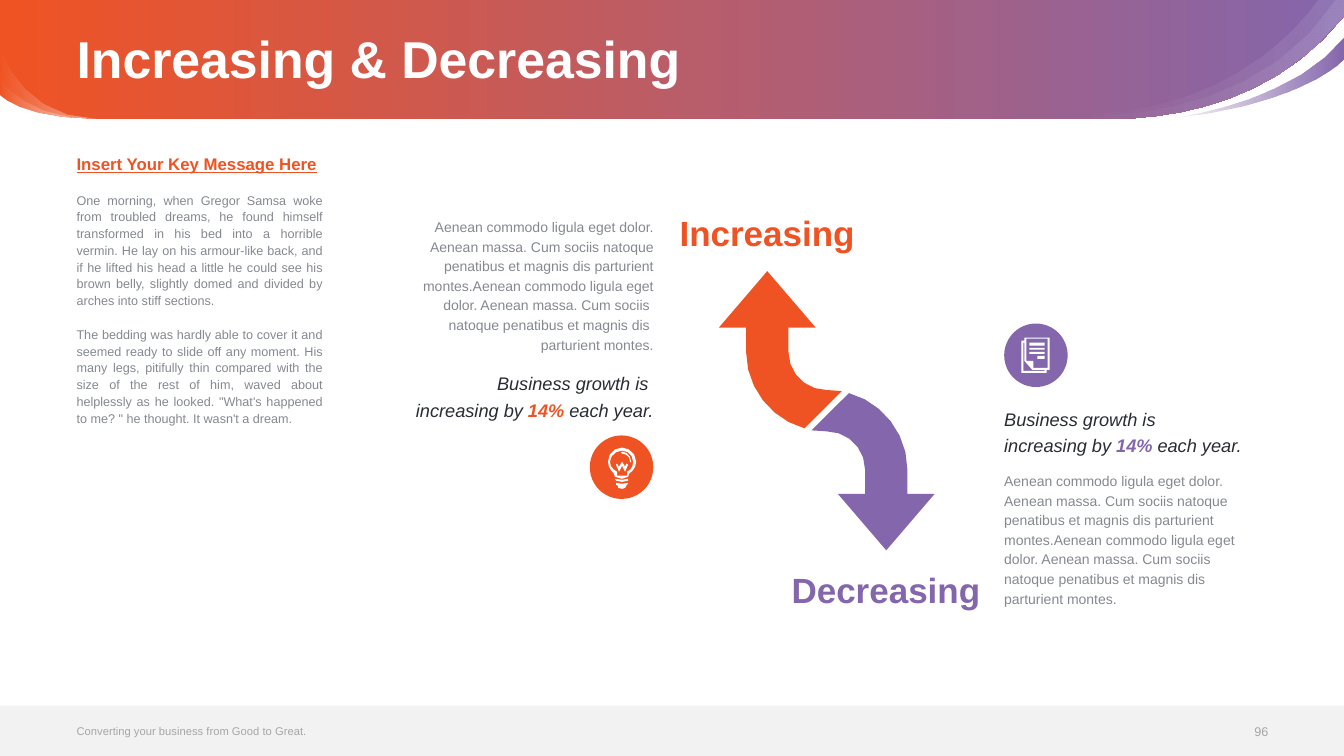
import math

from lxml import etree
from pptx import Presentation, util as u
from pptx.dml.color import RGBColor
from pptx.enum import shapes, text
from pptx.oxml.ns import qn

COLORS = {"orange": "F05323", "purple": "8466AC", "white": "FFFFFF", "band": "F2F2F2",
          "grey": "85898F", "light": "A6A6A6", "dark": "292C34"}
LEFT, RIGHT, JUSTIFY = text.PP_ALIGN.LEFT, text.PP_ALIGN.RIGHT, text.PP_ALIGN.JUSTIFY
MIDDLE, TOP = text.MSO_ANCHOR.MIDDLE, text.MSO_ANCHOR.TOP

# Outlines: a pair is a corner, six numbers are a Bezier curve (two controls, end)
HEADER = [(13.33, 0), (13.33, 0.16), (12.66, 1, 11.7, 1.17, 11.05, 1.18), (0.97, 1.18),
          (0.18, 1.17, 0, 0.94, 0, 0.94), (0, 0)]
RIGHT_GLOW = [(13.33, 0), (13.33, 0.16), (12.24, 1.53, 10.39, 1.13, 10.34, 1.12),
              (10.4, 1.12, 12.32, 1.39, 13.24, 0)]
RIGHT_TAIL = [(11.57, 1.18), (11.57, 1.18, 12.82, 1.03, 13.33, 0.37), (13.33, 0.59),
              (13.33, 0.59, 12.94, 1.04, 11.57, 1.18)]
RIGHT_SHEEN = [(13.33, 0), (13.33, 0.16), (12.23, 1.55, 10.34, 1.12, 10.34, 1.12),
               (11.89, 1.22, 12.7, 0.5, 13.07, 0)]
UP_ARROW = [(8.35, 3.88), (7.98, 4.25), (7.65, 4.16, 7.4, 3.85, 7.4, 3.49), (7.4, 3.25),
            (7.13, 3.25), (7.61, 2.69), (8.09, 3.25), (7.82, 3.25), (7.82, 3.49),
            (7.82, 3.7, 7.99, 3.87, 8.2, 3.87), (8.35, 3.88)]
BULB = [
    # screw base
    [(6.11, 4.79), (6.11, 4.81), (6.13, 4.82), (6.13, 4.84), (6.17, 4.85), (6.2, 4.84),
     (6.21, 4.82), (6.22, 4.81), (6.23, 4.79), (6.17, 4.8)],
    [(6.1, 4.75), (6.11, 4.77), (6.17, 4.78), (6.23, 4.77), (6.23, 4.75), (6.17, 4.76)],
    # glass, outer and inner edge
    [(6.17, 4.44), (6.09, 4.44, 6.03, 4.5, 6.03, 4.58), (6.03, 4.63, 6.06, 4.67, 6.09, 4.7),
     (6.1, 4.73), (6.17, 4.75), (6.23, 4.73), (6.24, 4.7),
     (6.28, 4.67, 6.31, 4.63, 6.31, 4.58), (6.31, 4.5, 6.24, 4.44, 6.17, 4.44)],
    [(6.22, 4.68), (6.22, 4.72), (6.12, 4.72), (6.12, 4.68),
     (6.08, 4.66, 6.05, 4.63, 6.05, 4.58), (6.05, 4.52, 6.11, 4.47, 6.17, 4.47),
     (6.23, 4.47, 6.28, 4.52, 6.28, 4.58), (6.28, 4.63, 6.26, 4.66, 6.22, 4.68)],
    # filament and shine
    [(6.2, 4.63), (6.17, 4.58), (6.14, 4.63), (6.12, 4.6), (6.11, 4.61), (6.14, 4.68),
     (6.17, 4.62), (6.2, 4.68), (6.23, 4.61), (6.21, 4.6)],
    [(6.17, 4.48), (6.16, 4.49), (6.17, 4.5), (6.21, 4.5, 6.25, 4.53, 6.25, 4.58),
     (6.26, 4.59), (6.26, 4.58), (6.26, 4.53, 6.22, 4.48, 6.17, 4.48)]]
TEXT_BARS = [(10.21, 3.4, 3.43), (10.21, 3.45, 3.47), (10.21, 3.49, 3.51), (10.29, 3.53, 3.56)]
PAGES = [[(x, top), (10.36, top), (10.36, bottom), (x, bottom)] for x, top, bottom in TEXT_BARS] + [
    [(10.16, 3.35), (10.16, 3.38), (10.13, 3.38), (10.13, 3.7), (10.38, 3.7), (10.38, 3.67),
     (10.41, 3.67), (10.41, 3.35)],
    [(10.36, 3.68), (10.15, 3.68), (10.15, 3.4), (10.16, 3.4), (10.16, 3.58), (10.24, 3.67),
     (10.36, 3.67)],
    [(10.39, 3.65), (10.25, 3.65), (10.25, 3.58), (10.18, 3.58), (10.18, 3.36), (10.39, 3.36)]]

STORY = [
    "One morning, when Gregor Samsa woke from troubled dreams, he found himself transformed in "
    "his bed into a horrible vermin. He lay on his armour-like back, and if he lifted his head a "
    "little he could see his brown belly, slightly domed and divided by arches into stiff sections.",
    "The bedding was hardly able to cover it and seemed ready to slide off any moment. His many "
    "legs, pitifully thin compared with the size of the rest of him, waved about helplessly as he "
    "looked. \"What's happened to me? \" he thought. It wasn't a dream."]
DETAIL = ("Aenean commodo ligula eget dolor. Aenean massa. Cum sociis natoque penatibus et magnis "
          "dis parturient montes.Aenean commodo ligula eget dolor. Aenean massa. Cum sociis \n"
          "natoque penatibus et magnis dis \nparturient montes.")


def rgb(name):
    return RGBColor.from_string(COLORS[name])


def paint(sp, fill):
    """Fill with a colour name, or with (position, colour, opacity) gradient stops."""
    sp.shadow.inherit = False
    sp.line.fill.background()
    if isinstance(fill, str):
        sp.fill.solid()
        sp.fill.fore_color.rgb = rgb(fill)
        return
    sp.fill.gradient()
    sp.fill.gradient_angle = 0
    for stop, (position, color, _) in zip(sp.fill.gradient_stops, fill):
        stop.position = position
        stop.color.rgb = rgb(color)
    for clr, (_, _, opacity) in zip(sp._element.spPr.iter(qn("a:srgbClr")), fill):
        if opacity < 100:
            etree.SubElement(clr, qn("a:alpha")).set("val", str(opacity * 1000))


def flatten(outline):
    """Turn curves into short lines, more of them the longer the curve."""
    points = [outline[0]]
    for step in outline[1:]:
        if len(step) == 2:
            points.append(step)
            continue
        curve = [points[-1], step[:2], step[2:4], step[4:]]
        count = math.ceil(6 * math.sqrt(math.dist(curve[0], curve[3])))
        for i in range(1, count + 1):
            t = i / count
            weights = ((1 - t) ** 3, 3 * t * (1 - t) ** 2, 3 * t * t * (1 - t), t ** 3)
            points.append(tuple(sum(w * c[axis] for w, c in zip(weights, curve)) for axis in (0, 1)))
    return [(u.Inches(x), u.Inches(y)) for x, y in points]


def add_outline(slide, outlines, fill):
    first, *others = [flatten(outline) for outline in outlines]
    builder = slide.shapes.build_freeform(*first[0])
    builder.add_line_segments(first[1:])
    for points in others:
        builder.move_to(*points[0])
        builder.add_line_segments(points[1:])
    paint(builder.convert_to_shape(), fill)


def add_preset(slide, kind, box, fill):
    paint(slide.shapes.add_shape(kind, *map(u.Inches, box)), fill)


def add_text(slide, box, paragraphs, size, color, align=LEFT, anchor=TOP, spacing=None, gap=0):
    """Each paragraph is a list of (text, font changes) runs; \\n breaks a line."""
    tf = slide.shapes.add_textbox(*map(u.Inches, box)).text_frame
    tf.word_wrap = True
    tf.vertical_anchor = anchor
    tf.margin_left = tf.margin_top = tf.margin_right = tf.margin_bottom = 0
    for i, runs in enumerate(paragraphs):
        p = tf.add_paragraph() if i else tf.paragraphs[0]
        p.alignment, p.line_spacing = align, spacing
        if i and gap:
            p.space_before = u.Pt(gap)
        for words, changes in runs:
            style = {"size": size, "color": color, **changes}
            for j, line in enumerate(words.split("\n")):
                if j:
                    p.add_line_break()
                r = p.add_run()
                r.text = line
                r.font.name, r.font.size = "Arial", u.Pt(style["size"])
                r.font.color.rgb = rgb(style["color"])
                for effect in ("bold", "italic", "underline"):
                    if effect in style:
                        setattr(r.font, effect, style[effect])


def add_growth(slide, left, claim_top, detail_top, color, align, lead):
    italic = {"italic": True}
    claim = [[(lead, italic)],
             [("increasing by ", italic), ("14%", {"italic": True, "bold": True, "color": color}),
              (" each year.", italic)]]
    add_text(slide, (left, detail_top, 2.61, 1.37), [[(DETAIL, {})]], 10, "grey", align,
             spacing=u.Pt(14))
    add_text(slide, (left, claim_top, 2.61, 0.53), claim, 13, "dark", align, spacing=u.Pt(19))


def add_badge(slide, left, top, color, icon):
    add_preset(slide, shapes.MSO_SHAPE.OVAL, (left, top, 0.63, 0.63), color)
    add_outline(slide, icon, "white")


def half_turn(outline, x_sum, y_sum):
    return [tuple((y_sum if i % 2 else x_sum) - n for i, n in enumerate(step)) for step in outline]


def main():
    prs = Presentation()
    prs.slide_width, prs.slide_height = u.Inches(13.33), u.Inches(7.5)
    slide = prs.slides.add_slide(prs.slide_layouts[6])
    bold = {"bold": True}

    # Header band with its swooshes
    glow = [(0.15, "white", 0), (1, "white", 10)]
    add_outline(slide, [HEADER], [(0, "orange", 100), (1, "purple", 100)])
    add_outline(slide, [RIGHT_GLOW], glow)
    add_outline(slide, [RIGHT_TAIL], [(0, "purple", 0), (1, "purple", 100)])
    add_outline(slide, [RIGHT_SHEEN], glow)
    for top, pull in ((0.76, 1.17), (0.45, 1.16)):
        left_sheen = [(0.97, 1.18), (0.18, 1.17, 0, 0.94, 0, 0.94), (0, top),
                      (0, top, 0.18, pull, 0.97, 1.18)]
        add_outline(slide, [left_sheen], [(0, "white", 0), (1, "white", 50)])
    add_text(slide, (0.76, 0.05, 11.81, 1.13), [[("Increasing & Decreasing", bold)]], 37, "white",
             anchor=MIDDLE, spacing=0.9)

    # Footer
    add_preset(slide, shapes.MSO_SHAPE.RECTANGLE, (0, 7, 13.33, 0.5), "band")
    add_text(slide, (0.76, 7.12, 5.23, 0.26),
             [[("Converting your business from Good to Great.", {})]], 8, "light", anchor=MIDDLE)
    add_text(slide, (11.95, 7.13, 0.63, 0.26), [[("96", {})]], 9, "light", RIGHT, MIDDLE)

    # Key message column
    heading = {"size": 12, "color": "orange", "bold": True, "underline": True}
    add_text(slide, (0.76, 1.56, 2.44, 5.19),
             [[("Insert Your Key Message Here", heading)]] + [[(part, {})] for part in STORY],
             9, "grey", JUSTIFY, spacing=u.Pt(12), gap=12)

    # Arrows and their labels
    add_outline(slide, [UP_ARROW], "orange")
    add_outline(slide, [half_turn(UP_ARROW, 16.4, 8.15)], "purple")
    add_text(slide, (6.74, 2.1, 2.61, 0.42), [[("Increasing", bold)]], 25, "orange")
    add_text(slide, (7.11, 5.64, 2.61, 0.42), [[("Decreasing", bold)]], 25, "purple", RIGHT)

    # Growth notes with badges
    add_growth(slide, 3.87, 3.65, 2.14, "orange", RIGHT, "Business growth is ")
    add_growth(slide, 9.96, 4, 4.66, "purple", LEFT, "Business growth is")
    add_badge(slide, 5.85, 4.32, "orange", BULB)
    add_badge(slide, 9.96, 3.21, "purple", PAGES)

    prs.save("out.pptx")


if __name__ == "__main__":
    main()
